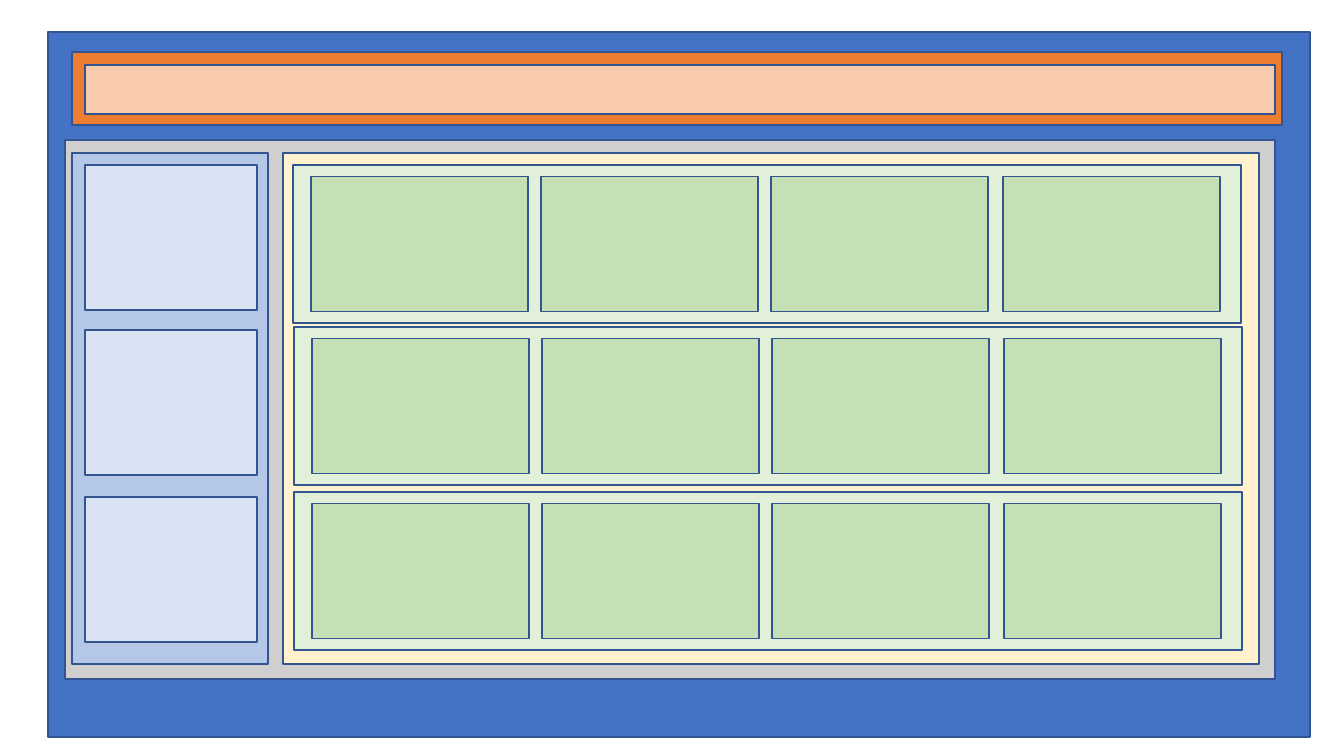
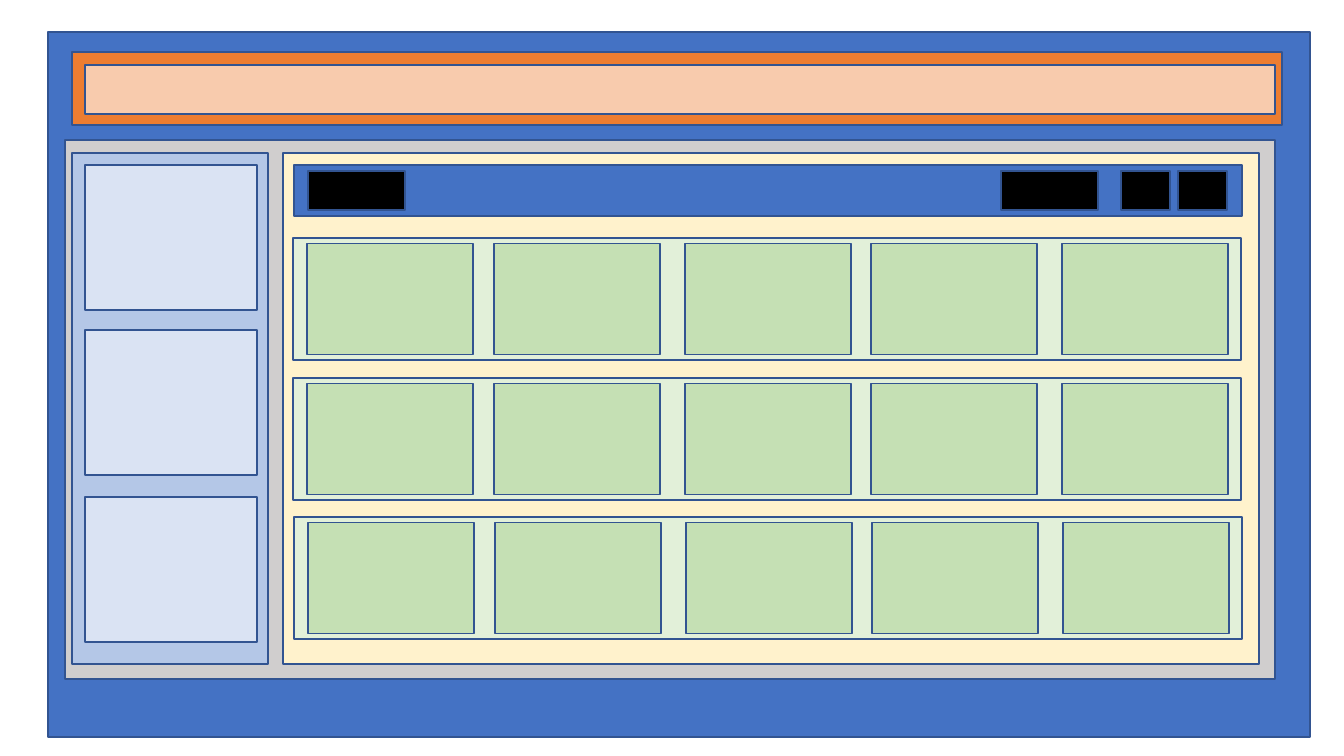
from pptx import Presentation
from pptx.dml.color import RGBColor
from pptx.enum.shapes import MSO_SHAPE
from pptx.util import Emu, Pt

EMU_PER_PIXEL = 914400 / 100.8
BLANK_LAYOUT = 6
COLORS = {
    "page": "4472C4",
    "outline": "325491",
    "header": "ED7D31",
    "header_field": "F8CBAD",
    "body": "D0CECE",
    "sidebar": "B4C7E7",
    "sidebar_card": "DAE3F3",
    "content": "FFF2CC",
    "row": "E2F0D9",
    "card": "C5E0B4",
    "button": "000000",
}


def pixels(value):
    """Convert pixels to EMU."""
    return Emu(round(value * EMU_PER_PIXEL))


def add_box(slide, color, left, top, width, height):
    """Add an outlined rectangle filled with a named colour."""
    shape = slide.shapes.add_shape(
        MSO_SHAPE.RECTANGLE, *map(pixels, (left, top, width, height))
    )
    shape.shadow.inherit = False
    shape.fill.solid()
    shape.fill.fore_color.rgb = RGBColor.from_string(COLORS[color])
    shape.line.color.rgb = RGBColor.from_string(COLORS["outline"])
    shape.line.width = Pt(1)


def add_page(presentation):
    """Add a slide with the shared header, sidebar and content area."""
    slide = presentation.slides.add_slide(presentation.slide_layouts[BLANK_LAYOUT])
    add_box(slide, "page", 48, 32, 1262, 705)
    add_box(slide, "header", 72, 52, 1210, 73)
    add_box(slide, "header_field", 85, 65, 1190, 49)
    add_box(slide, "body", 65, 140, 1210, 539)
    add_box(slide, "sidebar", 72, 153, 196, 511)
    for top in (165, 330, 497):
        add_box(slide, "sidebar_card", 85, top, 172, 145)
    add_box(slide, "content", 283, 153, 976, 511)
    return slide


def add_card_row(slide, left, top, height, card_offsets, card_size):
    """Add a row band with its cards centred vertically."""
    add_box(slide, "row", left, top, 948, height)
    card_width, card_height = card_size
    card_top = top + (height - card_height) / 2
    for offset in card_offsets:
        add_box(slide, "card", left + offset, card_top, card_width, card_height)


def add_toolbar(slide):
    """Add the toolbar with its wide and narrow buttons."""
    add_box(slide, "page", 294, 165, 948, 51)
    for left, width in ((308, 97), (1001, 97), (1121, 49), (1178, 49)):
        add_box(slide, "button", left, 171, width, 39)


def main():
    """Build both page layouts and save them."""
    presentation = Presentation()
    presentation.slide_width = pixels(1344)
    presentation.slide_height = pixels(756)

    four_column_page = add_page(presentation)
    for left, top in ((293, 165), (294, 327), (294, 492)):
        add_card_row(
            four_column_page, left, top, 158, (18, 248, 478, 710), (217, 135)
        )

    five_column_page = add_page(presentation)
    add_toolbar(five_column_page)
    for left, top in ((293, 238), (293, 378), (294, 517)):
        add_card_row(
            five_column_page, left, top, 122, (14, 201, 392, 578, 769), (166, 111)
        )

    presentation.save("out.pptx")


main()
